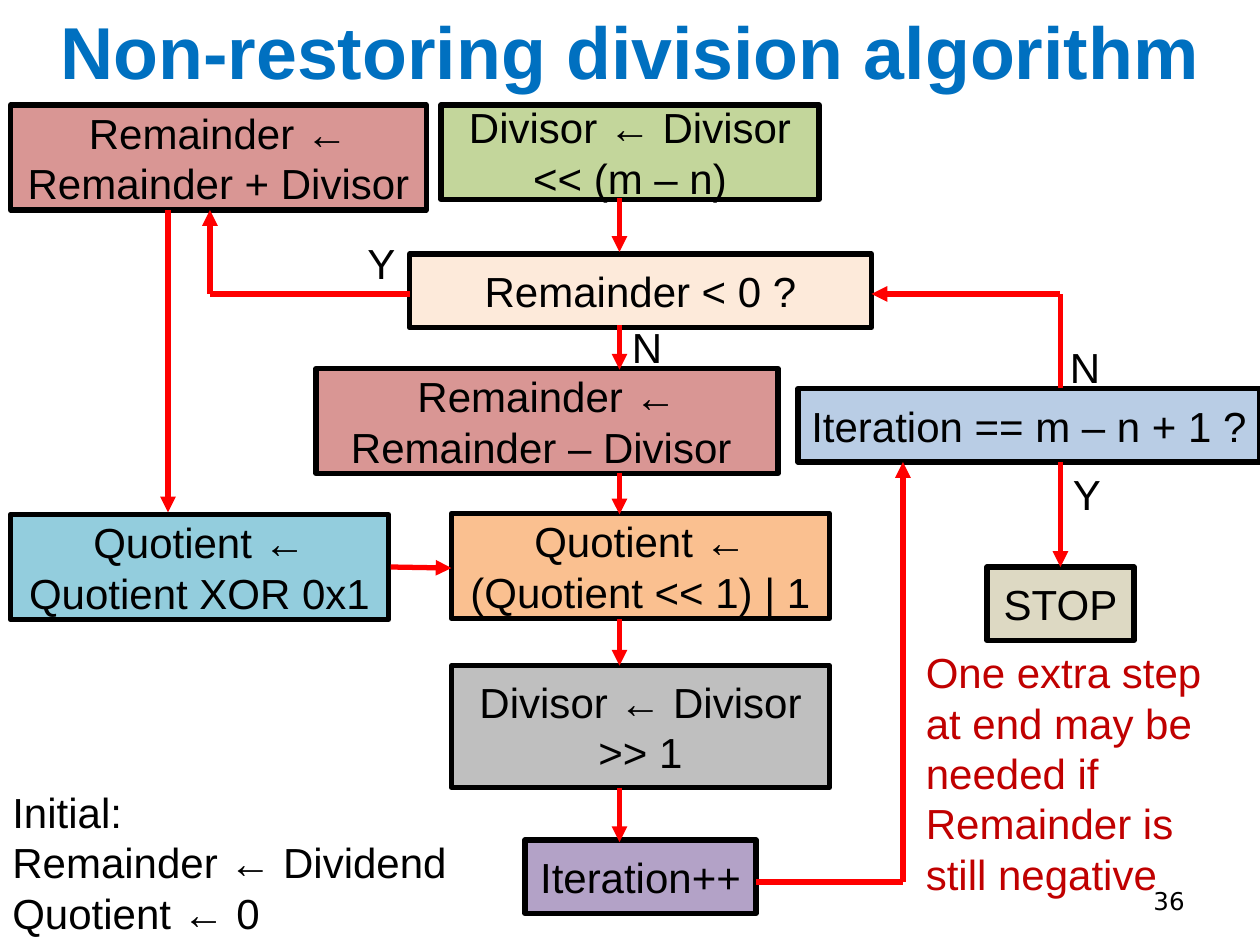
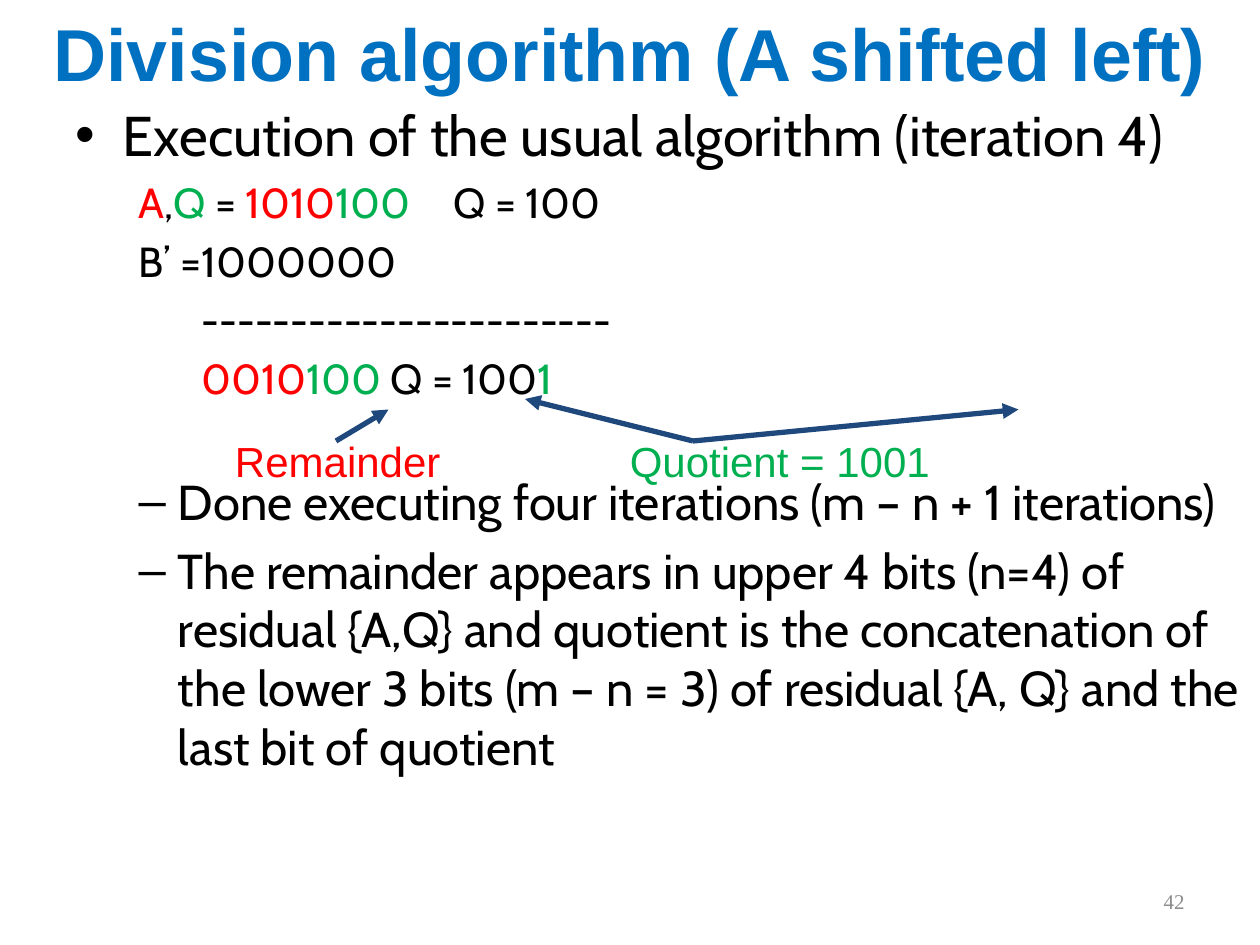
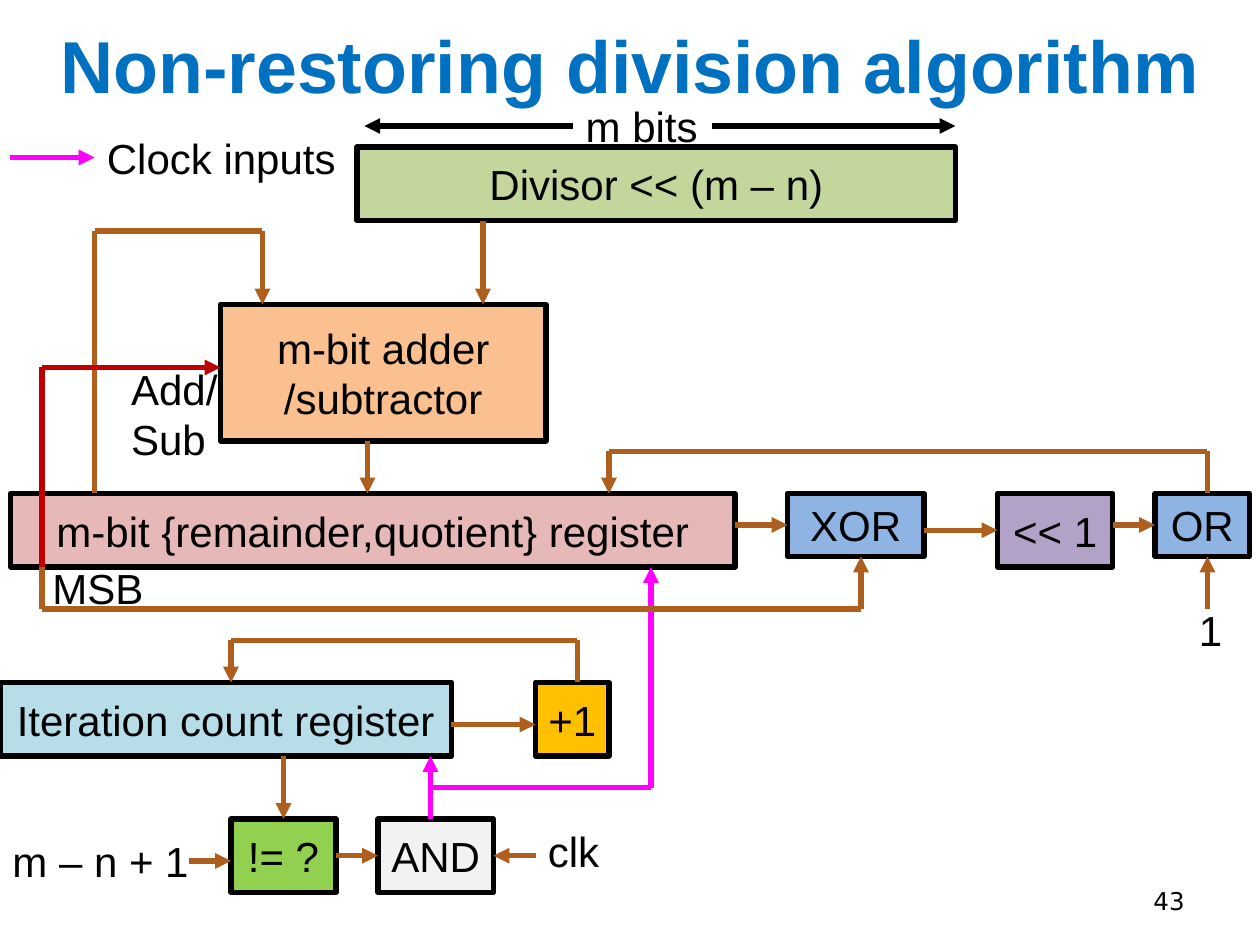
from itertools import pairwise

from lxml.etree import SubElement
from pptx import Presentation
from pptx.dml.color import RGBColor
from pptx.enum.shapes import MSO_CONNECTOR, MSO_SHAPE
from pptx.enum.text import MSO_ANCHOR, MSO_AUTO_SIZE, PP_ALIGN
from pptx.oxml.ns import qn
from pptx.util import Cm, Pt

# Shared look: everything sits on a grid of 120 by 90 units
GRID = 2.54 / 12
rgb = RGBColor.from_string
BLACK, RED, GREEN = "000000", "FF0000", "00B050"
TITLE, NAVY, DARK_RED = "0070C0", "1F497D", "C00000"
BROWN, MAGENTA = "AE5F1E", "FF00FF"


def add_box(page, text, left, top, width, height, fill=None, colour=BLACK, wrap=False):
    """A filled box with centred text, or a plain label when there is no fill."""
    frame = [Cm(n * GRID) for n in (left, top, width, height)]
    if fill:
        box = page.shapes.add_shape(MSO_SHAPE.RECTANGLE, *frame)
        box.shadow.inherit = False
        box.fill.solid()
        box.fill.fore_color.rgb = rgb(fill)
        box.line.color.rgb = rgb(BLACK)
        box.line.width = Pt(3)
        box.text_frame.vertical_anchor = MSO_ANCHOR.MIDDLE
    else:
        box = page.shapes.add_textbox(*frame)
    box.text_frame.word_wrap = bool(fill) or wrap
    for number, line in enumerate(text.split("\n")):
        para = box.text_frame.add_paragraph() if number else box.text_frame.paragraphs[0]
        para.alignment = PP_ALIGN.CENTER if fill else PP_ALIGN.LEFT
        span = para.add_run()
        span.text = line
        span.font.name = "Arial"
        span.font.size = Pt(24)
        span.font.color.rgb = rgb(colour)
    return box


def add_route(page, points, colour, arrow=True):
    """Straight connectors through the points, with an arrowhead on the last."""
    for start, end in pairwise(points):
        line = page.shapes.add_connector(
            MSO_CONNECTOR.STRAIGHT, *[Cm(n * GRID) for n in (*start, *end)])
        line.line.color.rgb = rgb(colour)
        line.line.width = Pt(3)
        if arrow and end == points[-1]:
            SubElement(line.line._get_or_add_ln(), qn("a:tailEnd"), type="triangle")
        SubElement(line._element.spPr, qn("a:effectLst"))


deck = Presentation()
deck.slide_width, deck.slide_height = Cm(25.4), Cm(19.05)

# Pages with their titles and numbers
pages = []
for layout, title, top, height, number, font, size, colour in [
    (5, "Non-restoring division algorithm", 0, 9.6, "36", "DejaVu Sans", 14, BLACK),
    (1, "Division algorithm (A shifted left)", 0, 10, "42", "Times New Roman", 12, "8C8C8C"),
    (5, "Non-restoring division algorithm", 1.3, 9.6, "43", "DejaVu Sans", 14, BLACK),
]:
    page = deck.slides.add_slide(deck.slide_layouts[layout])
    pages.append(page)
    heading = page.shapes.title
    heading.left, heading.top = Cm(0), Cm(top * GRID)
    heading.width, heading.height = deck.slide_width, Cm(height * GRID)
    heading.text_frame.auto_size = MSO_AUTO_SIZE.NONE
    span = heading.text_frame.paragraphs[0].add_run()
    span.text = title
    span.font.name, span.font.size, span.font.bold = "Arial", Pt(42), True
    span.font.color.rgb = rgb(TITLE)

    box = add_box(page, number, 86, 83.4, 28, 4.8, colour=colour, wrap=True)
    box.text_frame.vertical_anchor = MSO_ANCHOR.MIDDLE
    para = box.text_frame.paragraphs[0]
    para.alignment = PP_ALIGN.RIGHT
    para.runs[0].font.name, para.runs[0].font.size = font, Pt(size)

flowchart, example, circuit = pages

# Flowchart: steps
for step in [
    ("Divisor ← Divisor << (m – n)", 42, 10, 36, 9, "C3D69B"),
    ("Remainder ← Remainder + Divisor ", 1, 10, 39.6, 10, "D99694"),
    ("Remainder < 0 ?", 39, 24.2, 44, 7, "FDEADA"),
    ("Remainder ← Remainder – Divisor ", 30.1, 35.1, 44, 10, "D99694"),
    ("Quotient ← Quotient XOR 0x1", 1, 49, 36, 10, "93CDDD"),
    ("Quotient ← (Quotient << 1) | 1", 43, 48.9, 36, 10, "FAC090"),
    ("Divisor ← Divisor >> 1", 43, 63.4, 36, 11.6, "BFBFBF"),
    ("Iteration++", 50, 80, 22, 7, "B3A2C7"),
    ("Iteration == m – n + 1 ?", 76, 37, 44, 7, "B9CDE5"),
    ("STOP", 94, 54, 14, 7, "DDD9C3"),
]:
    add_box(flowchart, *step)

# Flowchart: the middle column, then the branches and the loop
for top, bottom in [(18.9, 24), (31, 35.2), (45, 49), (59, 63.4), (75, 80.2)]:
    add_route(flowchart, [(59, top), (59, bottom)], RED)
for points in [
    [(39, 28), (20, 28), (20, 20)],
    [(16, 20), (16, 48.8)],
    [(37.2, 54), (43, 54.1)],
    [(72, 84), (86, 84), (86, 44)],
    [(101, 37), (101, 28), (83, 28)],
    [(101, 44), (101, 54)],
]:
    add_route(flowchart, points, RED)

# Flowchart: labels
for label in [
    ("Y", 33.8, 22, 5.2, 6),
    ("N", 59, 30, 5.4, 6),
    ("N", 100.7, 31.9, 5.4, 6),
    ("Y", 101, 44, 5.2, 6),
    ("Initial:\nRemainder ← Dividend\nQuotient ← 0", 0, 74.3, 44.2, 15.7),
]:
    add_box(flowchart, *label)
add_box(flowchart, "One extra step at end may be needed if Remainder is still negative",
        87, 61, 32.2, 25.4, colour=DARK_RED, wrap=True)

# Worked example: list, with the sums lined up on tab stops
body = example.placeholders[1]
body.left, body.top, body.width, body.height = [Cm(n * GRID) for n in (6, 9, 114, 81)]
body.text_frame.auto_size = MSO_AUTO_SIZE.NONE
TAB_STOPS = [Cm(2.92), Cm(4.88), Cm(13.16)]
rows = [
    (0, [("Execution of the usual algorithm (iteration 4)", BLACK)]),
    (2, [("\tA", RED), (",", BLACK), ("Q", GREEN), (" = ", BLACK), ("1010", RED),
         ("100", GREEN), ("\tQ = 100", BLACK)]),
    (2, [("\tB’ =\t1000000", BLACK)]),
    (2, [("-----------------------", BLACK)]),
    (2, [("\t\t0010", RED), ("100", GREEN), ("\tQ = 100", BLACK), ("1", GREEN)]),
    (1, [("Done executing four iterations (m – n + 1 iterations)", BLACK)]),
    (1, [("The remainder appears in upper 4 bits (n=4) of residual {A,Q} and quotient is "
          "the concatenation of the lower 3 bits (m – n = 3) of residual {A, Q} and the "
          "last bit of quotient", BLACK)]),
]
for number, (level, spans) in enumerate(rows):
    para = body.text_frame.add_paragraph() if number else body.text_frame.paragraphs[0]
    para.level = level
    if level == 2:
        tabbed = spans[0][0].startswith("\t")
        props = para._p.get_or_add_pPr()
        props.set("marL", str(0 if tabbed else Cm(2.54)))
        props.set("indent", "0")
        SubElement(props, qn("a:buNone"))
        if tabbed:
            stops = SubElement(props, qn("a:tabLst"))
            for stop in TAB_STOPS:
                SubElement(stops, qn("a:tab"), pos=str(stop), algn="l")
    for text, colour in spans:
        span = para.add_run()
        span.text = text
        span.font.name = "Cabin"
        span.font.size = Pt((32, 28, 24)[level])
        span.font.color.rgb = rgb(colour)
# Room for the two labels under the sum
body.text_frame.paragraphs[5].space_before = Pt(39)

# Worked example: labels and pointers
add_box(example, "Remainder", 21.2, 40.9, 22.2, 6, colour=RED)
add_box(example, "Quotient = 1001", 58.8, 40.9, 31.3, 6, colour=GREEN)
for start, end in [((32, 42), (37, 39)), ((66, 42), (50, 38)), ((66, 42), (97, 39))]:
    add_route(example, [start, end], NAVY)

# Circuit: blocks
for block in [
    ("Divisor << (m – n)", 34, 14, 57, 7, "C3D69B"),
    ("m-bit adder /subtractor", 21, 29, 31, 13, "FAC090"),
    ("m-bit {remainder,quotient} register", 1, 47, 69, 7, "E6B9B8"),
    ("XOR", 75, 47, 13, 6, "8EB4E3"),
    ("<< 1", 95, 47, 11, 7, "B3A2C7"),
    ("OR", 110, 47, 9, 6, "8EB4E3"),
    ("Iteration count register", 0, 65, 43, 7, "B7DEE8"),
    ("+1", 51, 65, 7, 7, "FFC000"),
    ("!= ?", 22, 78, 10, 7, "92D050"),
    ("AND", 36, 78, 11, 7, "F2F2F2"),
]:
    add_box(circuit, *block)

# Circuit: clock lines
add_route(circuit, [(1, 15), (9, 15)], MAGENTA)
add_route(circuit, [(41, 78), (41, 72)], MAGENTA)
add_route(circuit, [(41, 75), (62, 75), (62, 54)], MAGENTA)

# Circuit: data lines
for points in [
    [(46, 21), (46, 29)],
    [(35, 42), (35, 47)],
    [(9, 47), (9, 22), (25, 22), (25, 29)],
    [(70, 50), (75, 50)],
    [(88, 50.5), (95, 50.5)],
    [(106, 50), (110, 50)],
    [(115, 47), (115, 43), (58, 43), (58, 47)],
    [(115, 58), (115, 53)],
    [(4, 54), (4, 58), (82, 58), (82, 53)],
    [(43, 69), (51, 69)],
    [(55, 65), (55, 61), (22, 61), (22, 65)],
    [(27, 72), (27, 78)],
    [(18, 82), (22, 82)],
    [(32, 81.5), (36, 81.5)],
    [(51, 81.5), (47, 81.5)],
]:
    add_route(circuit, points, BROWN)

# Circuit: sign line and width marks
add_route(circuit, [(4, 54), (4, 35), (21, 35)], DARK_RED)
add_route(circuit, [(67.8, 12), (91, 12)], BLACK)
add_route(circuit, [(54.6, 12), (34.7, 12)], BLACK)

# Circuit: labels
for label in [
    ("m bits", 54.6, 9, 13.2, 6),
    ("Clock inputs", 9, 12, 24.5, 6),
    ("Add/\nSub", 11.3, 34, 10.7, 10.9),
    ("MSB", 3.8, 53, 11.2, 6),
    ("1", 113, 57, 4.7, 6),
    ("m – n + 1", 0, 79, 19.3, 6),
    ("clk", 51, 78, 7.3, 6),
]:
    add_box(circuit, *label)

deck.save("out.pptx")
